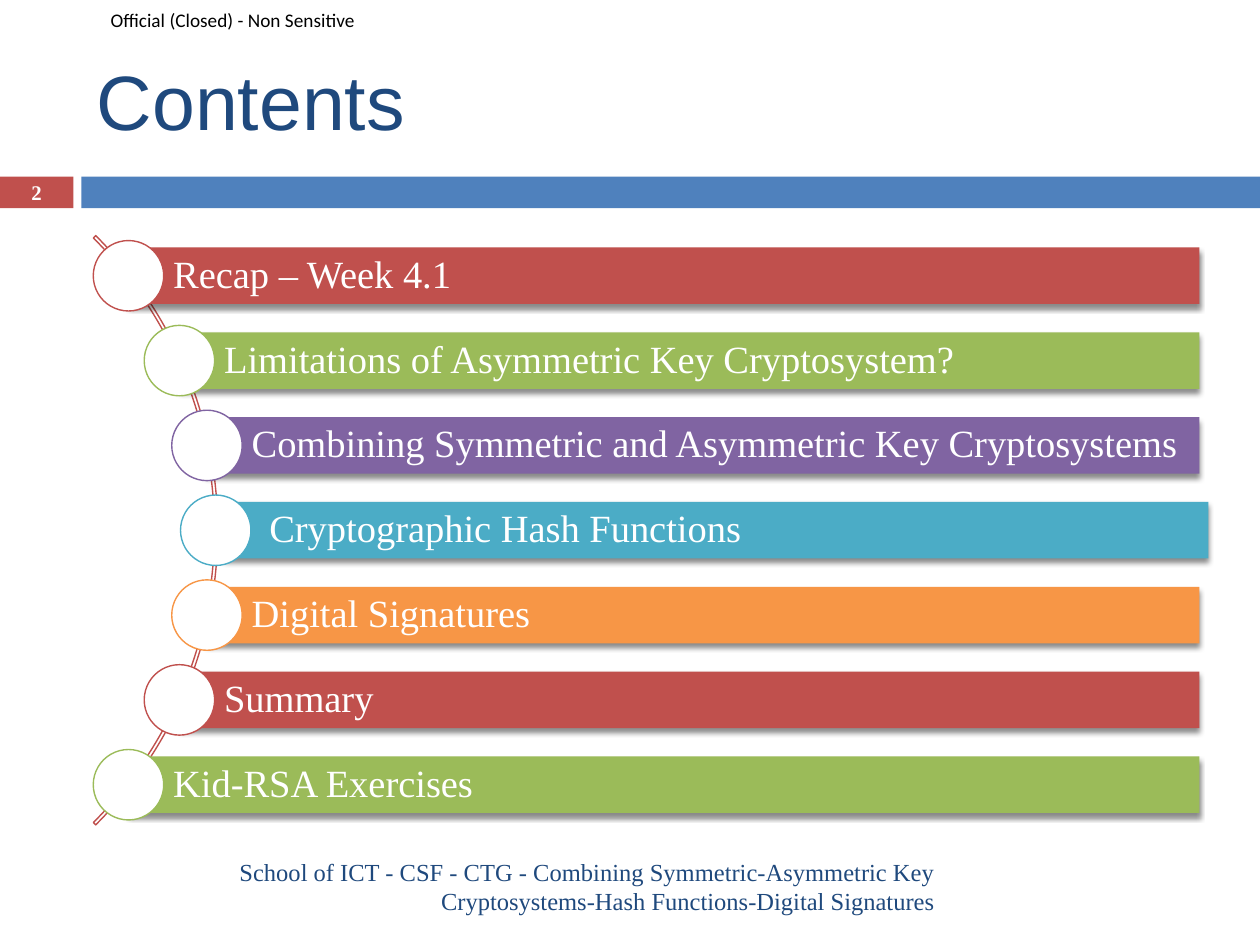
from collections import namedtuple
from math import sqrt

from lxml import etree
from pptx import Presentation
from pptx import util as u
from pptx.dml import color
from pptx.enum import shapes, text
from pptx.oxml import ns

Box = namedtuple("Box", "left top width height")

SERIF = "Times New Roman"
NAVY, RED, BLUE, WHITE = "1F497D", "C0504D", "4F81BD", "FFFFFF"
GREEN, PURPLE, TEAL, ORANGE = "9BBB59", "8064A2", "4BACC6", "F79646"
TOPICS = [
    ("Recap – Week 4.1", RED),
    ("Limitations of Asymmetric Key Cryptosystem?", GREEN),
    ("Combining Symmetric and Asymmetric Key Cryptosystems", PURPLE),
    ("Cryptographic Hash Functions", TEAL),
    ("Digital Signatures", ORANGE),
    ("Summary", RED),
    ("Kid-RSA Exercises", GREEN),
]


def rgb(value):
    """Turn a hex string into a colour."""
    return color.RGBColor.from_string(value)


def apply(target, values):
    """Set each named attribute on the target."""
    for name, value in values.items():
        setattr(target, name, value)


def write(shape, words, size, font, ink, align=text.PP_ALIGN.LEFT, bold=False, spacing=1.0, **margins):
    """Write one formatted paragraph, centred vertically in the shape."""
    frame = shape.text_frame
    apply(frame, {"word_wrap": True, "vertical_anchor": text.MSO_ANCHOR.MIDDLE})
    apply(frame, {f"margin_{side}": u.Cm(length) for side, length in margins.items()})
    para = frame.paragraphs[0]
    apply(para, {"alignment": align, "line_spacing": spacing})
    span = para.add_run()
    span.text = words
    apply(span.font, {"size": u.Pt(size), "name": font, "bold": bold})
    span.font.color.rgb = rgb(ink)


def add_text(page, box, words, size, font, ink, **options):
    """Add a text box that holds one paragraph."""
    write(page.shapes.add_textbox(*map(u.Cm, box)), words, size, font, ink, **options)


def add_preset(page, kind, box, fill=None, line=None):
    """Add a preset shape without shadow, with the given fill and line."""
    shape = page.shapes.add_shape(kind, *map(u.Cm, box))
    shape.shadow.inherit = False
    if fill:
        shape.fill.solid()
        shape.fill.fore_color.rgb = rgb(fill)
    else:
        shape.fill.background()
    if line:
        shape.line.color.rgb = rgb(line)
        shape.line.width = u.Pt(0.79)
    else:
        shape.line.fill.background()
    return shape


def add_shadow(shape):
    """Give the shape a soft shadow straight below it."""
    effects = shape.element.spPr.find(ns.qn("a:effectLst"))
    shadow = etree.SubElement(
        effects, ns.qn("a:outerShdw"), blurRad=str(u.Pt(3)), dist=str(u.Pt(2.4)), dir="5400000", rotWithShape="0"
    )
    shade = etree.SubElement(shadow, ns.qn("a:srgbClr"), val="000000")
    etree.SubElement(shade, ns.qn("a:alpha"), val="45000")


def add_header(page, box):
    """Place the classification label and the title."""
    label = Box(box.left, box.top, 7.65, 0.79)
    add_text(page, label, "Official (Closed) - Non Sensitive", 11, "Calibri", "000000",
             left=2.23, right=0, top=0, bottom=0)
    title = Box(box.left + 1.7, box.top + 0.64, box.width - 2.74, 2.74)
    add_text(page, title, "Contents", 44, "Arial", NAVY)


def add_band(page, box, number):
    """Place the coloured band with the page number at its left end."""
    tab, gap = 1.48, 0.16
    rectangle = shapes.MSO_SHAPE.RECTANGLE
    marker = add_preset(page, rectangle, box._replace(width=tab), RED)
    write(marker, number, 11.9, SERIF, WHITE, align=text.PP_ALIGN.CENTER, bold=True, top=0, bottom=0)
    offset = tab + gap
    add_preset(page, rectangle, box._replace(left=box.left + offset, width=box.width - offset), BLUE)


def add_topics(page, box, topics):
    """Place the topics as bars whose discs follow a circular arc."""
    radius, orbit, disc, bar, pitch = 8.4, 8.36, 1.42, 1.14, 1.71
    centre_x, centre_y = box.left - 5.88, box.top + box.height / 2
    circle = Box(centre_x - radius, centre_y - radius, 2 * radius, 2 * radius)
    arc = add_preset(page, shapes.MSO_SHAPE.BLOCK_ARC, circle, line=RED)
    for index, value in enumerate((189, 27, 0.004)):
        arc.adjustments[index] = value

    middle = len(topics) // 2
    for index, (words, fill) in enumerate(topics):
        rise = (index - middle) * pitch
        x, y = centre_x + sqrt(orbit**2 - rise**2), centre_y + rise
        shift = 0.18 if index == middle else 0
        strip = Box(x + shift, y - bar / 2, box.left + box.width - x, bar)
        shape = add_preset(page, shapes.MSO_SHAPE.RECTANGLE, strip, fill)
        add_shadow(shape)
        write(shape, words, 22, SERIF, WHITE, spacing=0.9, left=0.9, right=0.15, top=0.15, bottom=0.15)
        dot = Box(x - disc / 2, y - disc / 2, disc, disc)
        add_preset(page, shapes.MSO_SHAPE.OVAL, dot, WHITE, fill)


def add_footer(page, box):
    """Place the right-aligned course line."""
    words = "School of ICT - CSF - CTG - Combining Symmetric-Asymmetric Key Cryptosystems-Hash Functions-Digital Signatures"
    add_text(page, box, words, 14, SERIF, NAVY, align=text.PP_ALIGN.RIGHT)


def main():
    """Build the contents slide and save the deck."""
    deck = Presentation()
    apply(deck, {"slide_width": u.Cm(25.4), "slide_height": u.Cm(19.05)})
    page = deck.slides.add_slide(deck.slide_layouts[6])
    add_header(page, Box(0, 0, 25.4, 3.38))
    add_band(page, Box(0, 3.56, 25.4, 0.64), "2")
    add_topics(page, Box(1.87, 4.75, 22.31, 11.88), TOPICS)
    add_footer(page, Box(1.7, 17.35, 17.4, 1.02))
    deck.save("out.pptx")


if __name__ == "__main__":
    main()
